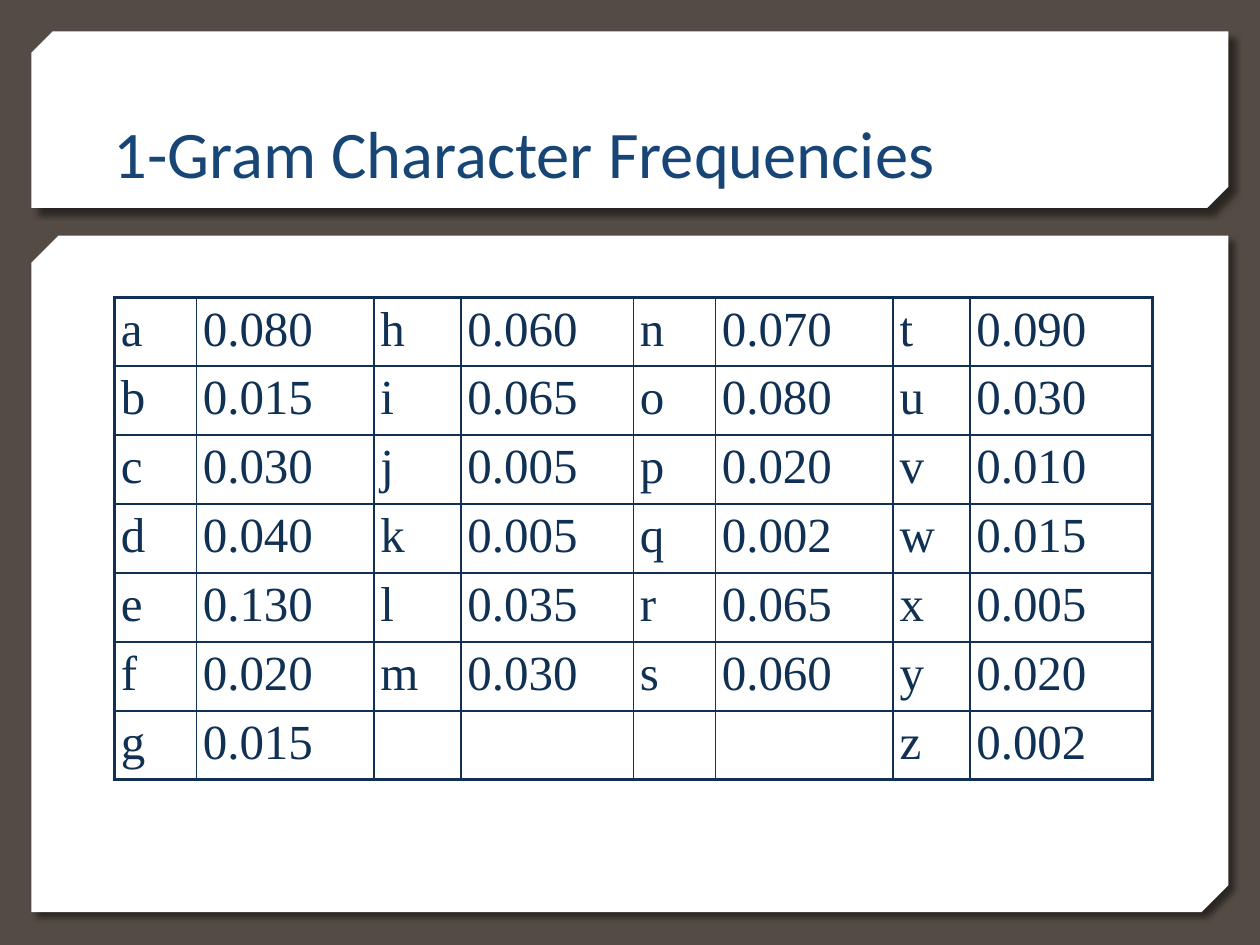
from dataclasses import dataclass

from lxml.etree import SubElement
from pptx import Presentation
from pptx.dml.color import RGBColor
from pptx.enum.shapes import MSO_SHAPE
from pptx.enum.text import MSO_ANCHOR
from pptx.oxml.ns import qn
from pptx.slide import Slide
from pptx.table import Table, _Cell
from pptx.text.text import TextFrame
from pptx.util import Inches, Pt

BROWN = RGBColor(0x54, 0x4C, 0x44)
WHITE = RGBColor(0xFF, 0xFF, 0xFF)
BLACK = RGBColor(0x00, 0x00, 0x00)
BLUE = RGBColor(0x17, 0x45, 0x76)
NAVY = RGBColor(0x10, 0x31, 0x54)

SLIDE_WIDTH, SLIDE_HEIGHT = 10, 7.5
MARGIN = SLIDE_WIDTH / 40
INSET = 0.05
ROW_HEIGHT = 0.53
COLUMN_WIDTHS = (0.65, 1.41, 0.69, 1.37, 0.65, 1.41, 0.61, 1.45)
FRAME_WIDTH, RULE_WIDTH = 2.25, 1

# Each group fills one pair of columns: letter and frequency.
FREQUENCY_GROUPS = (
    {"a": 0.080, "b": 0.015, "c": 0.030, "d": 0.040, "e": 0.130, "f": 0.020, "g": 0.015},
    {"h": 0.060, "i": 0.065, "j": 0.005, "k": 0.005, "l": 0.035, "m": 0.030},
    {"n": 0.070, "o": 0.080, "p": 0.020, "q": 0.002, "r": 0.065, "s": 0.060},
    {"t": 0.090, "u": 0.030, "v": 0.010, "w": 0.015, "x": 0.005, "y": 0.020, "z": 0.002},
)
ROW_COUNT = max(len(group) for group in FREQUENCY_GROUPS)


@dataclass(frozen=True)
class Panel:
    top: float
    height: float
    snip: float  # share of the height cut from two opposite corners


PANELS = (
    Panel(top=1.87, height=5.37, snip=0.04),
    Panel(top=MARGIN, height=1.4, snip=0.12),
)


def write_text(frame: TextFrame, text: str, *, font: str, size: float, color: RGBColor) -> None:
    paragraph = frame.paragraphs[0]
    paragraph.text = text
    paragraph.font.name = font
    paragraph.font.size = Pt(size)
    paragraph.font.color.rgb = color


def draw_panel(slide: Slide, panel: Panel) -> None:
    shape = slide.shapes.add_shape(
        MSO_SHAPE.SNIP_2_DIAG_RECTANGLE,
        Inches(MARGIN), Inches(panel.top),
        Inches(SLIDE_WIDTH - 2 * MARGIN), Inches(panel.height),
    )
    # The preset's first adjustment cuts top left and bottom right.
    shape.adjustments[0] = panel.snip
    shape.adjustments[1] = 0
    shape.fill.solid()
    shape.fill.fore_color.rgb = WHITE
    shape.line.fill.background()
    shape.shadow.inherit = False
    effects = shape._element.spPr.find(qn("a:effectLst"))
    shadow = SubElement(
        effects, qn("a:outerShdw"), blurRad=str(Pt(4)), dist=str(Pt(5)),
        dir=str(45 * 60000), algn="tl", rotWithShape="0",
    )
    color = SubElement(shadow, qn("a:srgbClr"), val=str(BLACK))
    SubElement(color, qn("a:alpha"), val="50000")


def draw_title(slide: Slide, text: str) -> None:
    box = slide.shapes.add_textbox(Inches(0.85), Inches(0.32), Inches(8.29), Inches(1.25))
    frame = box.text_frame
    frame.word_wrap = True
    frame.vertical_anchor = MSO_ANCHOR.BOTTOM
    frame.margin_left = frame.margin_right = Inches(INSET)
    frame.margin_top = frame.margin_bottom = Inches(INSET)
    write_text(frame, text, font="Calibri", size=38, color=BLUE)


def set_borders(cell: _Cell, widths: dict[str, float]) -> None:
    """Add border lines ahead of the cell's fill, as the schema orders them."""
    properties = cell._tc.get_or_add_tcPr()
    for position, (side, width) in enumerate(widths.items()):
        line = SubElement(properties, qn(f"a:ln{side}"), w=str(Pt(width)))
        fill = SubElement(line, qn("a:solidFill"))
        SubElement(fill, qn("a:srgbClr"), val=str(NAVY))
        properties.insert(position, line)


def format_cell(table: Table, row: int, column: int) -> None:
    cell = table.cell(row, column)
    cell.margin_left = cell.margin_right = Inches(INSET)
    cell.margin_top = cell.margin_bottom = Inches(0.04)
    cell.fill.background()
    on_frame = {
        "L": column == 0,
        "R": column == len(COLUMN_WIDTHS) - 1,
        "T": row == 0,
        "B": row == ROW_COUNT - 1,
    }
    set_borders(cell, {side: FRAME_WIDTH if outer else RULE_WIDTH for side, outer in on_frame.items()})


def draw_frequency_table(slide: Slide) -> None:
    table = slide.shapes.add_table(
        ROW_COUNT, len(COLUMN_WIDTHS), Inches(0.91), Inches(2.36),
        Inches(sum(COLUMN_WIDTHS)), Inches(ROW_COUNT * ROW_HEIGHT),
    ).table
    table.first_row = table.horz_banding = False
    for column, width in zip(table.columns, COLUMN_WIDTHS):
        column.width = Inches(width)
    for row in table.rows:
        row.height = Inches(ROW_HEIGHT)

    for row in range(ROW_COUNT):
        for column in range(len(COLUMN_WIDTHS)):
            format_cell(table, row, column)
    for group_index, group in enumerate(FREQUENCY_GROUPS):
        for row, (letter, frequency) in enumerate(group.items()):
            for offset, text in enumerate((letter, f"{frequency:.3f}")):
                cell = table.cell(row, 2 * group_index + offset)
                write_text(cell.text_frame, text, font="Times New Roman", size=28, color=NAVY)


def main() -> None:
    presentation = Presentation()
    presentation.slide_width = Inches(SLIDE_WIDTH)
    presentation.slide_height = Inches(SLIDE_HEIGHT)
    slide = presentation.slides.add_slide(presentation.slide_layouts[6])
    slide.background.fill.solid()
    slide.background.fill.fore_color.rgb = BROWN
    for panel in PANELS:
        draw_panel(slide, panel)
    draw_title(slide, "1-Gram Character Frequencies")
    draw_frequency_table(slide)
    presentation.save("out.pptx")


if __name__ == "__main__":
    main()
